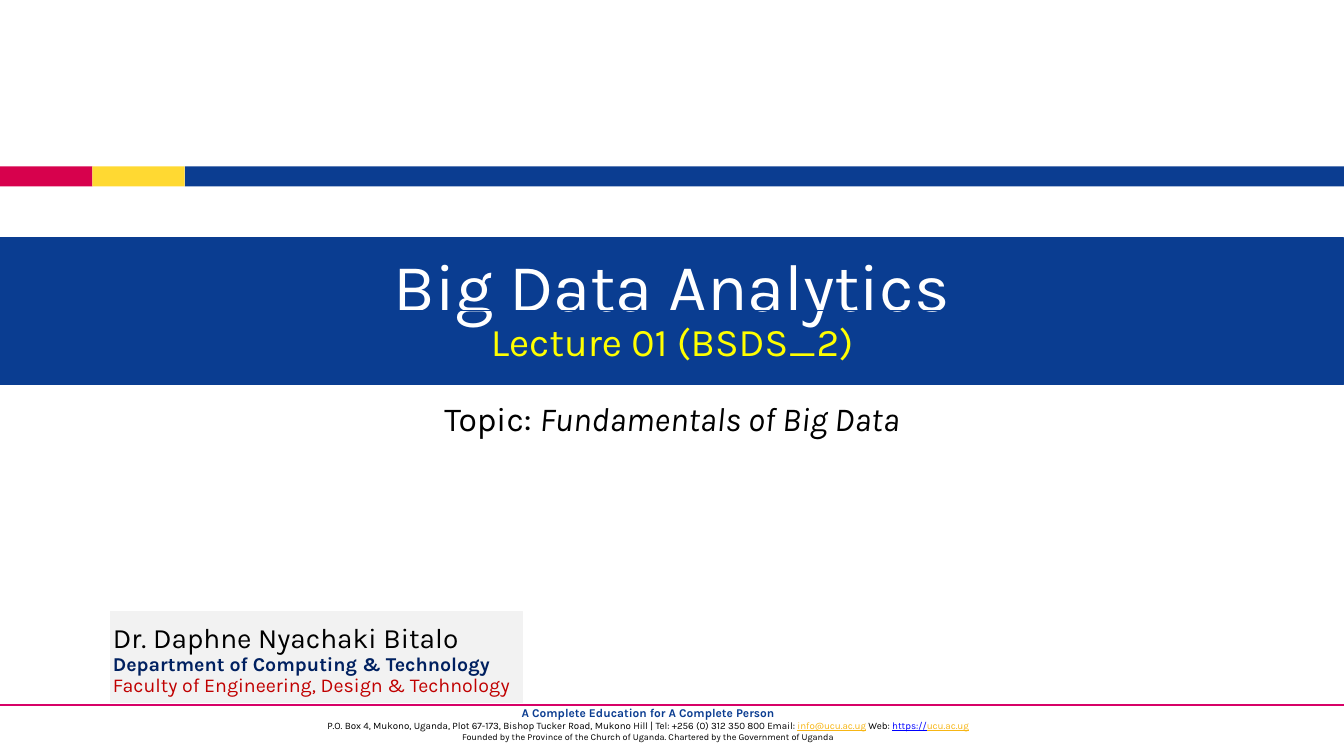
from lxml import etree
from pptx import Presentation, util as u
from pptx.dml.color import RGBColor
from pptx.enum import shapes, text
from pptx.oxml.ns import qn

COLORS = {
    "blue": "0B3D91", "band": "0A3D91", "red": "D7014D", "yellow": "FFD932",
    "rule": "D70167", "panel": "F2F2F2", "black": "000000", "white": "FFFFFF",
    "gold": "F7B615", "link": "0000FF", "lecture": "FFFF00",
    "navy": "002060", "crimson": "C00000",
}
WIDTH, HEIGHT = 960, 540
CENTER, LEFT = text.PP_ALIGN.CENTER, text.PP_ALIGN.LEFT
TOP, MIDDLE = text.MSO_ANCHOR.TOP, text.MSO_ANCHOR.MIDDLE


def span(words, **style):
    """Pair a piece of text with its format: size, color, bold, italic, underline."""
    return words, style


class Slide:
    font = "Karla"

    def __init__(self, deck):
        self.page = deck.slides.add_slide(deck.slide_layouts[5])

    def color(self, name):
        return RGBColor.from_string(COLORS[name])

    def bar(self, left, top, width, height, fill=None, line=None):
        box = self.page.shapes.add_shape(
            shapes.MSO_SHAPE.RECTANGLE, *map(u.Pt, (left, top, width, height)))
        box.shadow.inherit = False
        if fill:
            box.fill.solid()
            box.fill.fore_color.rgb = self.color(fill)
        else:
            box.fill.background()
        self.outline(box, line)
        return box

    def outline(self, box, line):
        if line:
            box.line.color.rgb = self.color(line)
            box.line.width = u.Pt(0.75)
        else:
            box.line.fill.background()

    def rule(self, top, color):
        line = self.page.shapes.add_connector(
            shapes.MSO_CONNECTOR.STRAIGHT, 0, u.Pt(top), u.Pt(WIDTH), u.Pt(top))
        line.line.color.rgb = self.color(color)
        line.line.width = u.Pt(1)
        etree.SubElement(line.element.spPr, qn("a:effectLst"))

    def set_text(self, box, paragraphs, align=CENTER, anchor=MIDDLE, spacing=0.9):
        frame = box.text_frame
        frame.word_wrap = True
        frame.auto_size = text.MSO_AUTO_SIZE.NONE
        frame.vertical_anchor = anchor
        for index, spans in enumerate(paragraphs):
            para = frame.add_paragraph() if index else frame.paragraphs[0]
            para.alignment, para.line_spacing = align, spacing
            for words, style in spans:
                if words == "\n":
                    para.add_line_break()
                    continue
                run = para.add_run()
                run.text = words
                run.font.name = self.font
                run.font.size = u.Pt(style["size"])
                run.font.color.rgb = self.color(style.get("color", "black"))
                run.font.bold = style.get("bold", False)
                run.font.italic = style.get("italic", False)
                run.font.underline = style.get("underline", False)

    def textbox(self, left, top, width, height, paragraphs, **layout):
        box = self.page.shapes.add_textbox(*map(u.Pt, (left, top, width, height)))
        self.set_text(box, paragraphs, **layout)

    def title(self, left, top, width, height, paragraphs, line):
        box = self.page.shapes.title
        self.page.shapes.element.append(box.element)  # bring in front of the band
        box.left, box.top, box.width, box.height = map(u.Pt, (left, top, width, height))
        self.outline(box, line)
        self.set_text(box, paragraphs)


def main():
    deck = Presentation()
    deck.slide_width, deck.slide_height = u.Pt(WIDTH), u.Pt(HEIGHT)
    slide = Slide(deck)

    # Tricolour stripe
    block = 66
    slide.bar(2 * block, 118.8, WIDTH - 2 * block, 14.4, "blue")
    for index, fill in enumerate(("red", "yellow")):
        slide.bar(index * block, 118.8, block, 14.4, fill)

    # Footer
    slide.textbox(167, 500.4, 592, 34, [
        [span("A Complete Education for A Complete Person", size=8.5, color="blue", bold=True),
         span("\n"),
         span("P.O. Box 4, Mukono, Uganda, Plot 67-173, Bishop Tucker Road, Mukono Hill"
              " | Tel: +256 (0) 312 350 800 Email: ", size=7),
         span("info@ucu.ac.ug", size=7, color="gold", underline=True),
         span(" Web: ", size=7),
         span("https://", size=7, color="link", underline=True),
         span("ucu.ac.ug", size=7, color="gold", underline=True)],
        [span("Founded by the Province of the Church of Uganda."
              " Chartered by the Government of Uganda", size=6.5)],
    ], anchor=TOP, spacing=1)
    slide.rule(503.5, "rule")

    # Topic
    slide.textbox(120, 283.7, 720, 130, [
        [span("Topic: ", size=24), span("Fundamentals of Big Data", size=24, italic=True)],
    ], anchor=TOP)

    # Lecturer
    slide.bar(79.2, 437, 294, 65, "panel", "panel")
    slide.textbox(73.5, 439.2, 299.5, 65.5, [
        [span("Dr. Daphne Nyachaki Bitalo", size=20)],
        [span("Department of Computing & Technology", size=14, color="navy", bold=True)],
        [span("Faculty of Engineering, Design & Technology", size=14, color="crimson")],
    ], align=LEFT)

    # Title band
    slide.bar(0, 170, WIDTH, 104.4, "band", "band")
    slide.title(0, 172, WIDTH, 70, [
        [span("Big Data Analytics", size=48, color="white")]], line="band")
    lecture = slide.bar(0, 221.8, WIDTH, 48.2, line="band")
    slide.set_text(lecture, [[span("Lecture 01 (BSDS_2)", size=28, color="lecture")]])

    deck.save("out.pptx")


if __name__ == "__main__":
    main()
